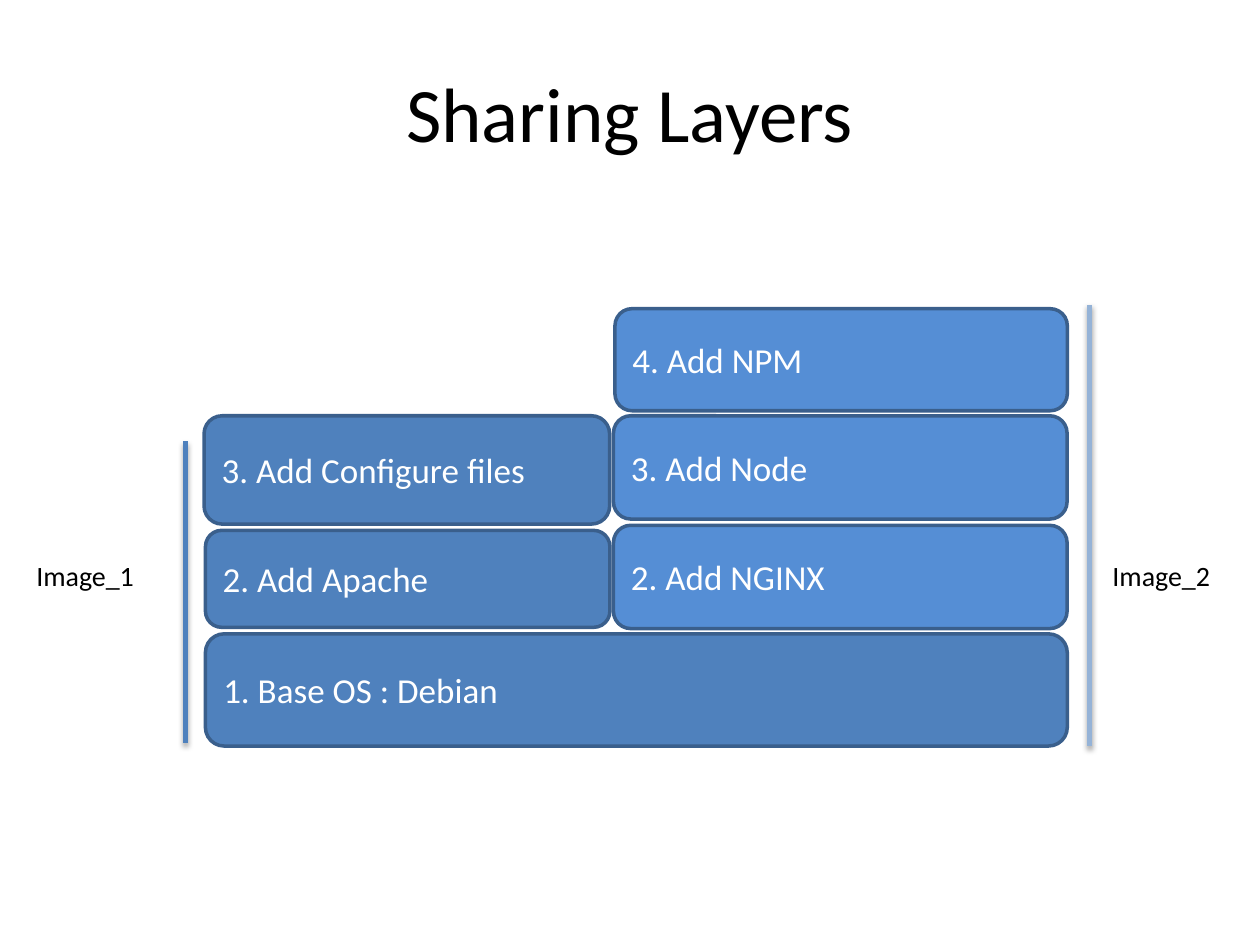
"""Build the Sharing Layers slide: two image stacks on one base layer."""
from lxml import etree
from pptx import Presentation
from pptx.dml.color import RGBColor
from pptx.enum import shapes, text
from pptx.oxml import ns
from pptx.util import Pt

FONT = "Calibri"
BLACK, WHITE, EDGE = "000000", "FFFFFF", "3A5F8C"
FIRST, SECOND = "4F81BD", "558ED5"
TITLE = ("Sharing Layers", (36, 21.6, 648, 90))
LAYERS = [
    ("1. Base OS : Debian", FIRST, (117.4, 362.2, 492.5, 64.1)),
    ("2. Add Apache", FIRST, (117.4, 303.1, 231.1, 55.4)),
    ("2. Add NGINX", SECOND, (350.6, 300.2, 259.2, 59)),
    ("3. Add Configure files", FIRST, (116.6, 237.6, 231.8, 61.9)),
    ("3. Add Node", SECOND, (350.6, 237.6, 259.2, 59)),
    ("4. Add NPM", SECOND, (351.4, 176.4, 258.5, 58.3)),
]
BRACKETS = [(105.84, 252, 424.8, FIRST), (622.8, 174.24, 426.24, "95B3D7")]
LABELS = [("Image_1", 13.7), ("Image_2", 628.6)]
LABEL_TOP, LABEL_WIDTH, LABEL_HEIGHT = 315.4, 82.8, 26.6


def color(code):
    return RGBColor.from_string(code)


def points(values):
    return [Pt(value) for value in values]


def write(shape, words, size, code, align, anchor):
    frame = shape.text_frame
    frame.word_wrap = True
    frame.vertical_anchor = anchor
    para = frame.paragraphs[0]
    para.alignment = align
    span = para.add_run()
    span.text = words
    span.font.name = FONT
    span.font.size = Pt(size)
    span.font.color.rgb = color(code)
    return para


def add_layer(page, words, fill, place):
    box = page.shapes.add_shape(shapes.MSO_SHAPE.ROUNDED_RECTANGLE, *points(place))
    box.shadow.inherit = False
    box.fill.solid()
    box.fill.fore_color.rgb = color(fill)
    box.line.color.rgb = color(EDGE)
    box.line.width = Pt(2)
    write(box, words, 20, WHITE, text.PP_ALIGN.LEFT, text.MSO_ANCHOR.MIDDLE)


def add_bracket(page, left, top, bottom, code):
    line = page.shapes.add_connector(
        shapes.MSO_CONNECTOR.STRAIGHT, *points((left, top, left, bottom)))
    line.line.color.rgb = color(code)
    line.line.width = Pt(3)
    effects = etree.SubElement(line._element.spPr, ns.qn("a:effectLst"))
    shadow = etree.SubElement(
        effects, ns.qn("a:outerShdw"), blurRad=str(Pt(3.1)), dist=str(Pt(1.8)),
        dir="5400000", rotWithShape="0")
    shade = etree.SubElement(shadow, ns.qn("a:srgbClr"), val=BLACK)
    etree.SubElement(shade, ns.qn("a:alpha"), val="35000")


def main():
    deck = Presentation()
    deck.slide_width, deck.slide_height = points((720, 540))
    page = deck.slides.add_slide(deck.slide_layouts[6])

    words, place = TITLE
    title = page.shapes.add_textbox(*points(place))
    para = write(title, words, 44, BLACK, text.PP_ALIGN.CENTER, text.MSO_ANCHOR.MIDDLE)
    para.line_spacing = 0.94

    for layer in LAYERS:
        add_layer(page, *layer)
    for bracket in BRACKETS:
        add_bracket(page, *bracket)
    for words, left in LABELS:
        label = page.shapes.add_textbox(
            *points((left, LABEL_TOP, LABEL_WIDTH, LABEL_HEIGHT)))
        write(label, words, 16, BLACK, text.PP_ALIGN.LEFT, text.MSO_ANCHOR.TOP)
        label.text_frame.auto_size = text.MSO_AUTO_SIZE.SHAPE_TO_FIT_TEXT

    deck.save("out.pptx")


if __name__ == "__main__":
    main()
